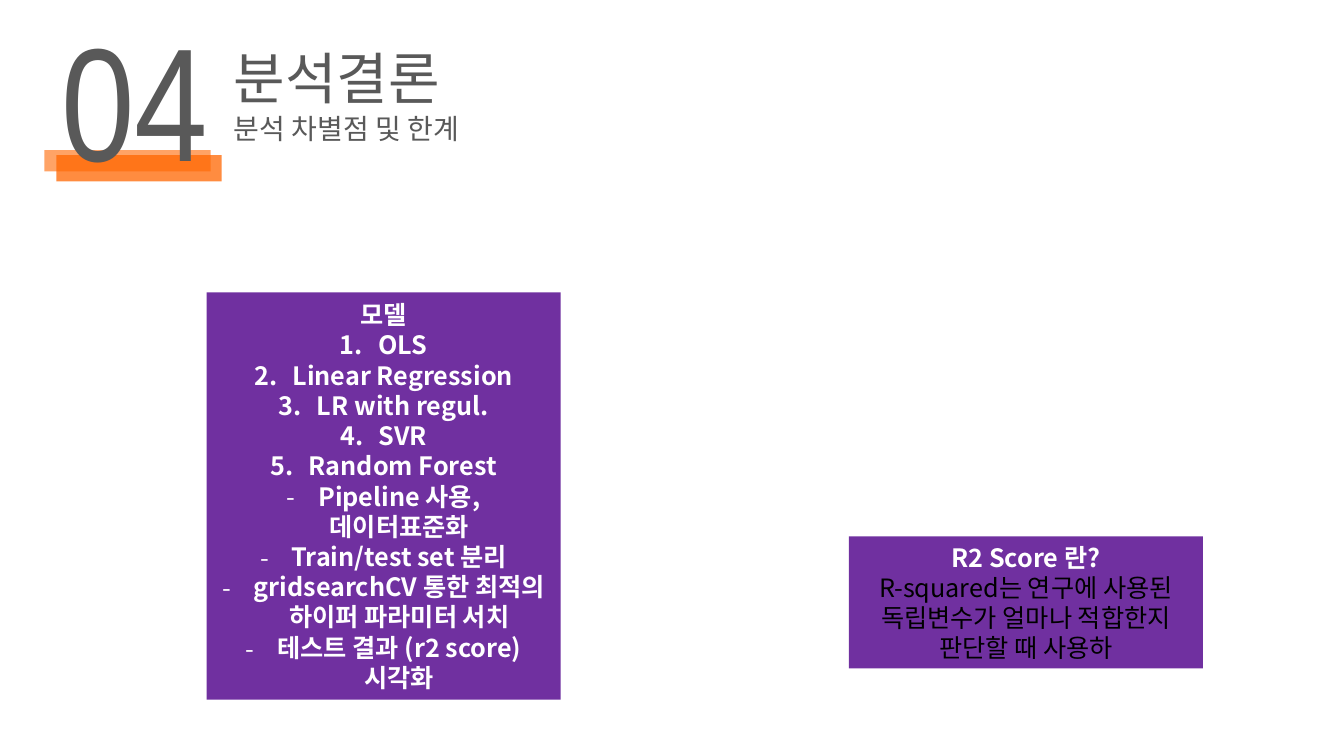
"""Build the section 04 slide on the conclusions of the analysis."""
from dataclasses import dataclass

from lxml.etree import SubElement
from pptx import Presentation
from pptx.dml.color import RGBColor
from pptx.enum.shapes import MSO_SHAPE
from pptx.enum.text import MSO_ANCHOR, MSO_AUTO_SIZE, PP_ALIGN
from pptx.oxml.ns import qn
from pptx.util import Inches, Pt

ORANGE = RGBColor(0xFF, 0x66, 0x00)
PURPLE = RGBColor(0x70, 0x30, 0xA0)
GRAY = RGBColor(0x59, 0x59, 0x59)
OUTLINE = RGBColor(0x40, 0x40, 0x40)
WHITE = RGBColor(0xFF, 0xFF, 0xFF)
BLACK = RGBColor(0x00, 0x00, 0x00)
NARROW = "Arial Narrow"
KOREAN = "Noto Sans CJK KR"


@dataclass(frozen=True)
class Area:
    left: float
    top: float
    width: float
    height: float

    def lengths(self) -> tuple:
        return tuple(map(Inches, (self.left, self.top, self.width, self.height)))


@dataclass(frozen=True)
class Stripe:
    area: Area
    opacity: int


@dataclass(frozen=True)
class Heading:
    text: str
    area: Area
    size: int
    font: str


@dataclass(frozen=True)
class Line:
    text: str
    marker: str = ""
    color: RGBColor = WHITE
    bold: bool = True


STRIPES = [
    Stripe(Area(0.56, 1.54, 1.64, 0.26), 75),
    Stripe(Area(0.44, 1.49, 1.65, 0.21), 60),
]
TITLE = Heading("분석결론", Area(2.22, 0.38, 3.33, 0.77), 40, NARROW)
LABELS = [
    Heading("04", Area(0.51, -0.04, 2.4, 2.04), 115, NARROW),
    Heading("분석 차별점 및 한계", Area(2.22, 1.06, 5.83, 0.44), 20, KOREAN),
]
MODELS = ["OLS", "Linear Regression", "LR with regul.", "SVR", "Random Forest"]
STEPS = [
    "Pipeline 사용, 데이터표준화",
    "Train/test set 분리",
    "gridsearchCV 통한 최적의 하이퍼 파라미터 서치",
    "테스트 결과 (r2 score) 시각화",
]
MODEL_LINES = [
    Line("모델"),
    *(Line(model, "1") for model in MODELS),
    *(Line(step, "-") for step in STEPS),
]
SCORE_LINES = [
    Line("R2 Score 란?"),
    Line("R-squared는 연구에 사용된 독립변수가 얼마나 적합한지 판단할 때 사용하", color=BLACK, bold=False),
]
MODEL_AREA = Area(2.05, 2.9, 3.51, 4.04)
SCORE_AREA = Area(8.42, 5.32, 3.51, 1.31)


def place(shape, area: Area) -> None:
    """Move a shape to its area."""
    shape.left, shape.top, shape.width, shape.height = area.lengths()


def set_opacity(solid_fill, percent: int) -> None:
    """Make the colour of a solid fill partly transparent."""
    SubElement(solid_fill[0], qn("a:alpha"), val=str(percent * 1000))


def format_span(span, size: int, font: str, color: RGBColor, bold: bool = False) -> None:
    """Set size, typefaces, colour and weight of a run."""
    span.font.size = Pt(size)
    span.font.name = font
    span.font.bold = bold
    span.font.color.rgb = color
    SubElement(span.font._element, qn("a:ea"), typeface=KOREAN)


def outline_span(span) -> None:
    """Give a run a thin, partly transparent outline."""
    properties = span.font._element
    line = SubElement(properties, qn("a:ln"), w=str(Pt(0.75)))
    properties.insert(0, line)
    fill = SubElement(line, qn("a:solidFill"))
    SubElement(fill, qn("a:srgbClr"), val=str(OUTLINE))
    set_opacity(fill, 70)


def add_rectangle(page, area: Area, color: RGBColor):
    """Add a plain filled rectangle."""
    box = page.shapes.add_shape(MSO_SHAPE.RECTANGLE, *area.lengths())
    box.shadow.inherit = False
    box.fill.solid()
    box.fill.fore_color.rgb = color
    box.line.fill.background()
    return box


def add_stripe(page, stripe: Stripe) -> None:
    """Add a translucent orange stripe."""
    box = add_rectangle(page, stripe.area, ORANGE)
    set_opacity(box._element.spPr.find(qn("a:solidFill")), stripe.opacity)


def write_heading(box, heading: Heading) -> None:
    """Place and write a gray outlined heading."""
    place(box, heading.area)
    frame = box.text_frame
    frame.text = heading.text
    frame.word_wrap = True
    frame.auto_size = MSO_AUTO_SIZE.NONE
    frame.vertical_anchor = MSO_ANCHOR.TOP
    para = frame.paragraphs[0]
    para.alignment = PP_ALIGN.LEFT
    span = para.runs[0]
    format_span(span, heading.size, heading.font, GRAY)
    outline_span(span)


def set_marker(para, marker: str) -> None:
    """Number, dash or leave plain a paragraph, with its hanging indent."""
    indent = {"": 0, "1": 0.38, "-": 0.31}[marker]
    properties = para._p.get_or_add_pPr()
    properties.set("marL", str(Inches(indent)))
    properties.set("indent", str(-Inches(indent)))
    if not marker:
        SubElement(properties, qn("a:buNone"))
        return
    SubElement(properties, qn("a:buFont"), typeface=KOREAN)
    if marker == "1":
        SubElement(properties, qn("a:buAutoNum"), type="arabicPeriod")
    else:
        SubElement(properties, qn("a:buChar"), char=marker)


def write_lines(box, lines: list[Line]) -> None:
    """Write centred lines into a panel."""
    frame = box.text_frame
    frame.text = "\n".join(line.text for line in lines)
    frame.word_wrap = True
    frame.auto_size = MSO_AUTO_SIZE.NONE
    frame.vertical_anchor = MSO_ANCHOR.MIDDLE
    for para, line in zip(frame.paragraphs, lines):
        para.alignment = PP_ALIGN.CENTER
        para.space_before = Pt(0)
        set_marker(para, line.marker)
        format_span(para.runs[0], 18, KOREAN, line.color, line.bold)


def main() -> None:
    """Build and save the deck."""
    deck = Presentation()
    deck.slide_width, deck.slide_height = Inches(13.33), Inches(7.5)
    page = deck.slides.add_slide(deck.slide_layouts[1])
    for stripe in STRIPES:
        add_stripe(page, stripe)
    write_heading(page.shapes.title, TITLE)
    for label in LABELS:
        write_heading(page.shapes.add_textbox(*label.area.lengths()), label)
    models = page.placeholders[1]
    place(models, MODEL_AREA)
    models.fill.solid()
    models.fill.fore_color.rgb = PURPLE
    write_lines(models, MODEL_LINES)
    write_lines(add_rectangle(page, SCORE_AREA, PURPLE), SCORE_LINES)
    deck.save("out.pptx")


main()
